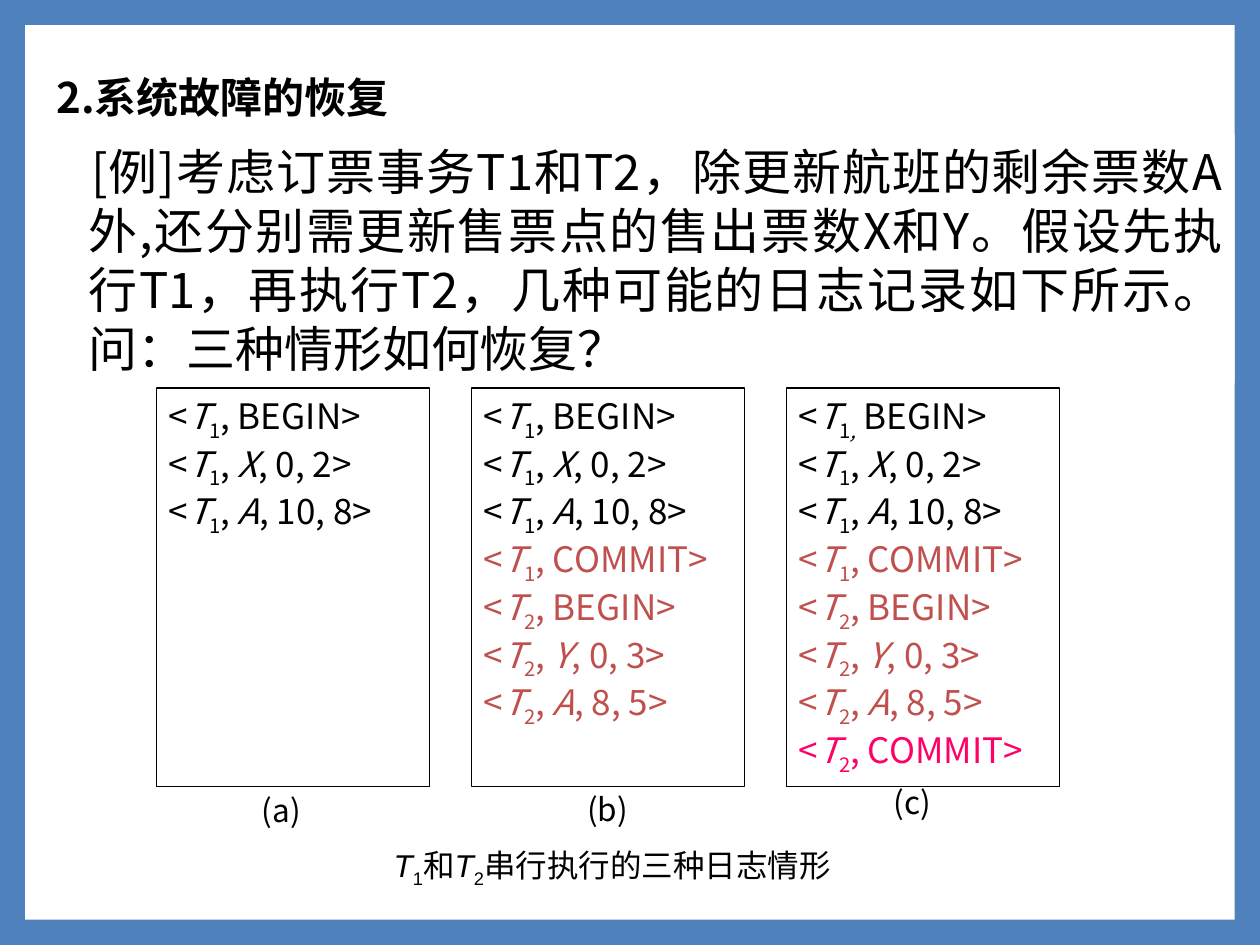
from lxml.etree import SubElement
from pptx import Presentation
from pptx.dml.color import RGBColor
from pptx.enum.shapes import MSO_SHAPE
from pptx.enum.text import MSO_ANCHOR, PP_ALIGN
from pptx.oxml.ns import qn
from pptx.util import Pt

BLUE = RGBColor(0x4F, 0x81, 0xBD)
WHITE = RGBColor(0xFF, 0xFF, 0xFF)
BLACK = RGBColor(0, 0, 0)
RED = RGBColor(0xC0, 0x50, 0x4D)
PINK = RGBColor(0xFF, 0, 0x66)
CJK = "Noto Sans CJK SC"

HEADING = "2.系统故障的恢复"
EXAMPLE = (
    "[例]考虑订票事务T1和T2，除更新航班的剩余票数A外,还分别需更新售票点的售出票数X和Y。"
    "假设先执行T1，再执行T2，几种可能的日志记录如下所示。问：三种情形如何恢复？"
)
CAPTION = "/T|_1|和|/T|_2|串行执行的三种日志情形"

FIRST_BEGIN = ("<|/T|_1|, BEGIN>", BLACK)
FIRST_BEGIN_LOW_COMMA = ("<|/T|_1|~,| BEGIN>", BLACK)
FIRST_UPDATES = [("<|/T|_1|, |/X|, 0, 2>", BLACK), ("<|/T|_1|, |/A|, 10, 8>", BLACK)]
SECOND_STARTED = [
    ("<|/T|_1|, COMMIT>", RED),
    ("<|/T|_2|, BEGIN>", RED),
    ("<|/T|_2|, |/Y|, 0, 3>", RED),
    ("<|/T|_2|, |/A|, 8, 5>", RED),
]
SECOND_COMMIT = ("<|/T|_2|, COMMIT>", PINK)
LOGS = [
    ("(a)", (142.5, 448.5, 80.5, 34), [FIRST_BEGIN, *FIRST_UPDATES]),
    ("(b)", (328.5, 448, 80.5, 30), [FIRST_BEGIN, *FIRST_UPDATES, *SECOND_STARTED]),
    ("(c)", (503.5, 444, 42, 39),
     [FIRST_BEGIN_LOW_COMMA, *FIRST_UPDATES, *SECOND_STARTED, SECOND_COMMIT]),
]
LOG_LEFT, LOG_TOP, LOG_WIDTH, LOG_HEIGHT, LOG_STEP = 89.3, 221.8, 156.2, 227.5, 180

MARKS = {"/": (True, 0), "_": (False, -25000), "~": (True, -25000)}


def add_panel(slide, place, line=None):
    panel = slide.shapes.add_shape(MSO_SHAPE.RECTANGLE, *map(Pt, place))
    panel.shadow.inherit = False
    panel.fill.solid()
    panel.fill.fore_color.rgb = WHITE
    if line is None:
        panel.line.fill.background()
    else:
        panel.line.color.rgb = line
        panel.line.width = Pt(0.75)
    return panel


def add_label(slide, place):
    return slide.shapes.add_textbox(*map(Pt, place))


def write(shape, entries, size, align, font=CJK, bold=None, **spacing):
    frame = shape.text_frame
    frame.word_wrap = True
    frame.vertical_anchor = MSO_ANCHOR.TOP
    for index, (text, color) in enumerate(entries):
        paragraph = frame.add_paragraph() if index else frame.paragraphs[0]
        for name, value in {"alignment": align, **spacing}.items():
            setattr(paragraph, name, value)
        for piece in text.split("|"):
            italic, baseline = MARKS.get(piece[0], (None, 0))
            run = paragraph.add_run()
            run.text = piece[1:] if piece[0] in MARKS else piece
            look = {"name": font, "size": Pt(size), "bold": bold, "italic": italic}
            for name, value in look.items():
                setattr(run.font, name, value)
            run.font.color.rgb = color
            properties = run._r.get_or_add_rPr()
            SubElement(properties, qn("a:ea")).set("typeface", CJK)
            if baseline:
                properties.set("baseline", str(baseline))
    return paragraph


def main():
    deck = Presentation()
    deck.slide_width, deck.slide_height = Pt(720), Pt(540)
    slide = deck.slides.add_slide(deck.slide_layouts[6])
    slide.background.fill.solid()
    slide.background.fill.fore_color.rgb = BLUE

    add_panel(slide, (14.4, 14.4, 691.2, 511.2))

    example = add_panel(slide, (19.5, 77, 686, 142))
    paragraph = write(example, [(EXAMPLE, BLACK)], 28, PP_ALIGN.JUSTIFY,
                      line_spacing=Pt(33.7))
    indents = paragraph._p.get_or_add_pPr()
    for name, value in {"marL": Pt(24), "indent": Pt(1.5)}.items():
        indents.set(name, str(value))

    heading = add_label(slide, (25.2, 37.5, 663, 36))
    write(heading, [(HEADING, BLACK)], 24, PP_ALIGN.LEFT, bold=True)

    for column, (letter, letter_place, entries) in enumerate(LOGS):
        place = (LOG_LEFT + column * LOG_STEP, LOG_TOP, LOG_WIDTH, LOG_HEIGHT)
        log = add_panel(slide, place, BLACK)
        write(log, entries, 20, PP_ALIGN.JUSTIFY, line_spacing=Pt(27.3))
        write(add_label(slide, letter_place), [(letter, BLACK)], 18, PP_ALIGN.JUSTIFY)

    caption = add_label(slide, (154.8, 480.2, 390, 31.7))
    write(caption, [(CAPTION, BLACK)], 18, PP_ALIGN.CENTER, font="Arial",
          space_before=Pt(11.2))

    deck.save("out.pptx")


if __name__ == "__main__":
    main()
